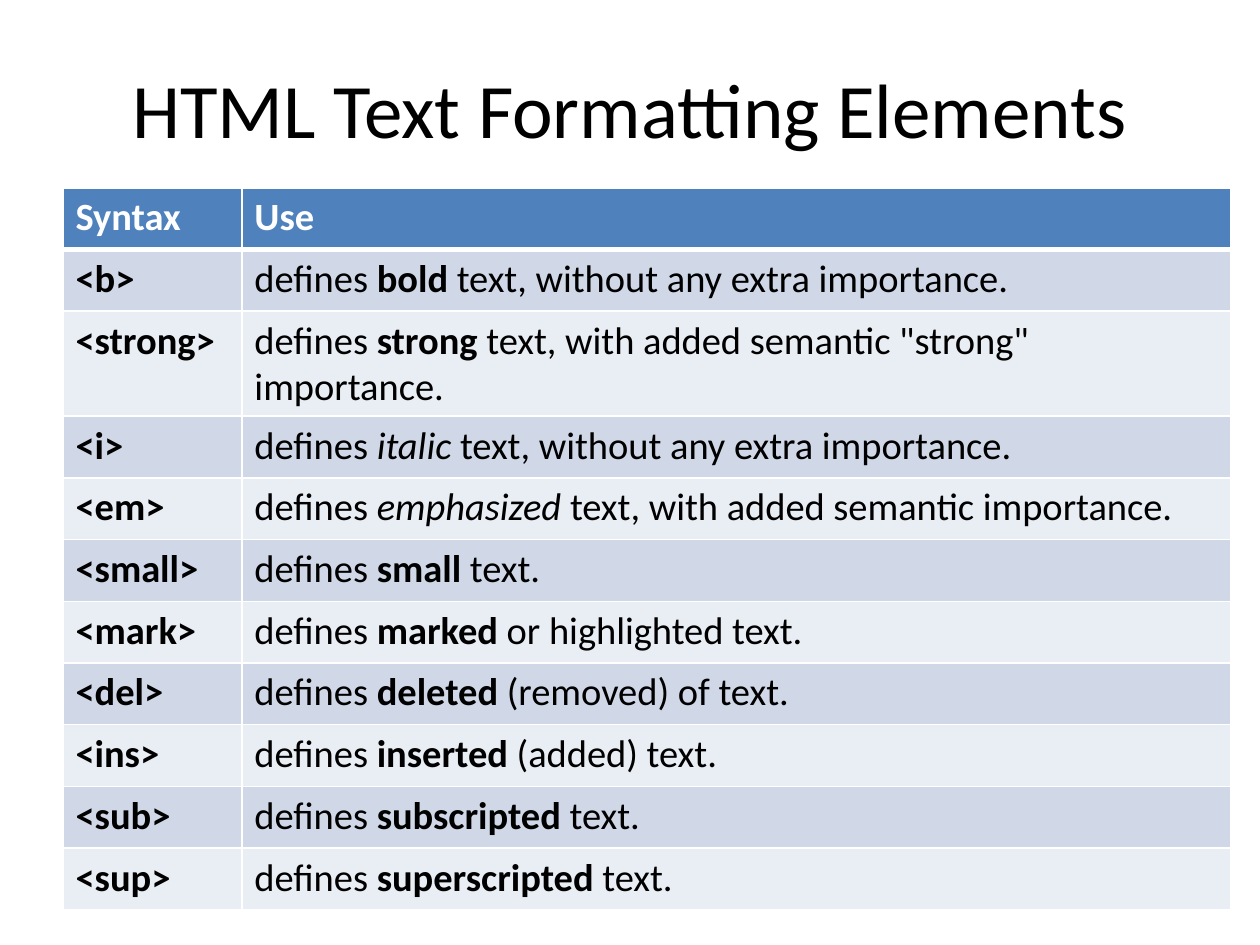
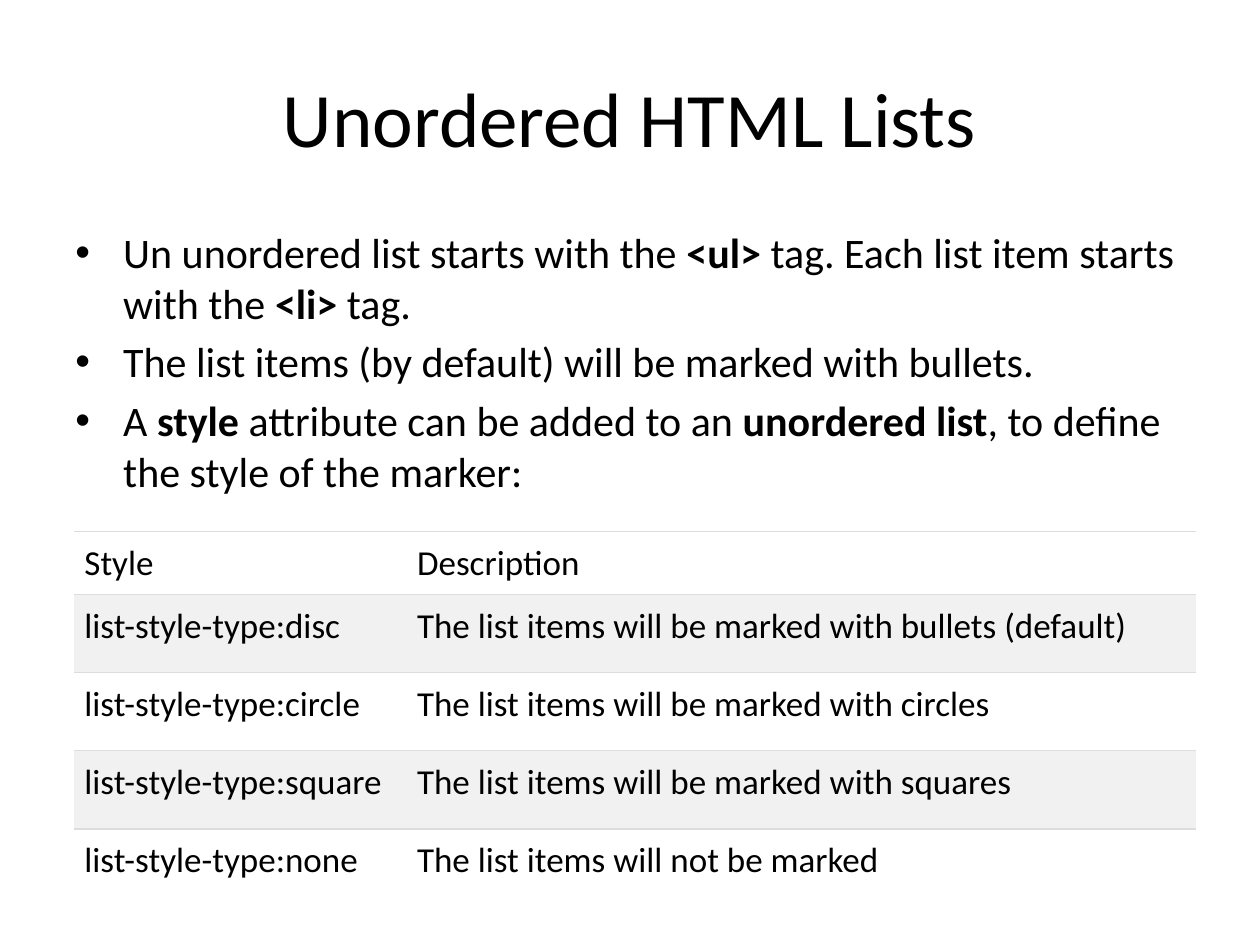
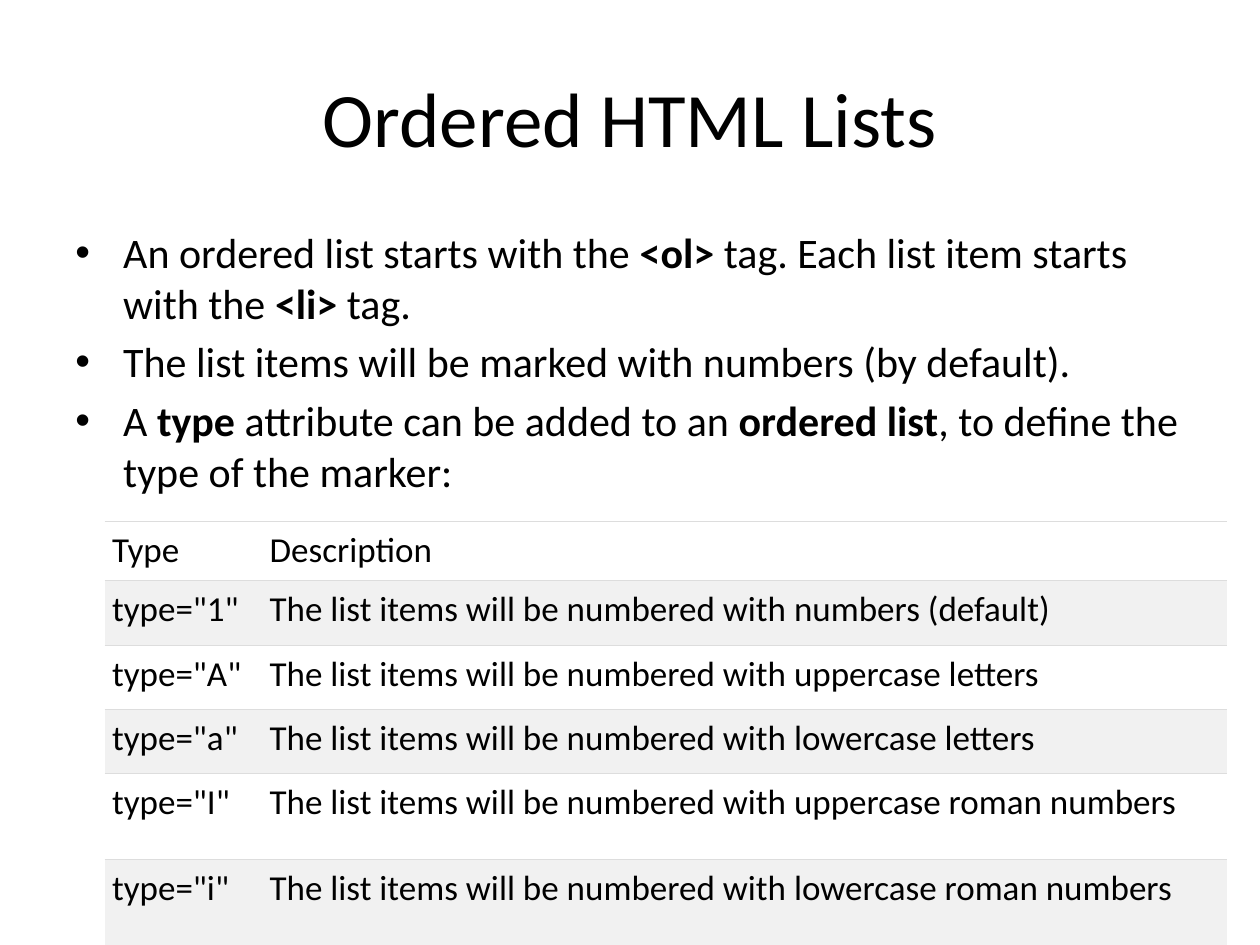
from dataclasses import dataclass

from lxml import etree
from pptx import Presentation
from pptx.dml.color import RGBColor
from pptx.enum.text import MSO_ANCHOR, PP_ALIGN
from pptx.oxml.ns import qn
from pptx.util import Inches, Pt

CENTER = PP_ALIGN.CENTER
TOP, MIDDLE = MSO_ANCHOR.TOP, MSO_ANCHOR.MIDDLE
FONT = "Calibri"
COLORS = {
    "white": "FFFFFF",
    "black": "000000",
    "head": "4F81BD",
    "dark": "D0D8E8",
    "light": "E9EDF4",
    "gray": "F1F1F1",
    "rule": "DDDDDD",
}


@dataclass(frozen=True)
class Look:
    """Table style; rules are the widths in points of each kind of line."""
    size: int
    head: str
    ink: str
    bands: tuple[str, str]
    line: str
    side: float
    inner: float
    under: float
    last: float
    bold: bool = False


@dataclass(frozen=True)
class Grid:
    left: float
    top: float
    cols: tuple[float, ...]
    heights: tuple[float, ...]
    pad: tuple[float, float]
    look: Look
    rows: tuple[tuple[str, str], ...]


@dataclass(frozen=True)
class Page:
    title: str
    top: float
    points: tuple[str, ...]
    grid: Grid


BLUE = Look(22, "head", "white", ("dark", "light"), "white",
            side=1, inner=1, under=3, last=1, bold=True)
PLAIN = Look(20, "white", "black", ("gray", "white"), "rule",
             side=0, inner=0.75, under=0.75, last=0)

# In all texts, *stars* mark bold and _underscores_ mark italic.
PAGES = (
    Page("HTML Text Formatting Elements", 0.23, (), Grid(
        0.5, 1.49, (1.42, 7.85), (0.49,) * 11, (0.1, 0.05), BLUE, (
            ("Syntax", "Use"),
            ("*<b>*", "defines *bold* text, without any extra importance."),
            ("*<strong>*", 'defines *strong* text, with added semantic "strong" importance.'),
            ("*<i>*", "defines _italic_ text, without any extra importance."),
            ("*<em>*", "defines _emphasized_ text, with added semantic importance."),
            ("*<small>*", "defines *small* text."),
            ("*<mark>*", "defines *marked* or highlighted text."),
            ("*<del>*", "defines *deleted* (removed) of text."),
            ("*<ins>*", "defines *inserted* (added) text."),
            ("*<sub>*", "defines *subscripted* text."),
            ("*<sup>*", "defines *superscripted* text."),
        ))),
    Page("Unordered HTML Lists", 0.3, (
        "Un unordered list starts with the *<ul>* tag. Each list item starts with the *<li>* tag.",
        "The list items (by default) will be marked with bullets.",
        "A *style* attribute can be added to an *unordered list*, to define the style of the marker:",
    ), Grid(
        0.59, 4.22, (2.64, 6.26), (0.5,) + (0.62,) * 4, (0.08, 0.08), PLAIN, (
            ("Style", "Description"),
            ("list-style-type:disc", "The list items will be marked with bullets (default)"),
            ("list-style-type:circle", "The list items will be marked with circles"),
            ("list-style-type:square", "The list items will be marked with squares"),
            ("list-style-type:none", "The list items will not be marked"),
        ))),
    Page("Ordered HTML Lists", 0.3, (
        "An ordered list starts with the *<ol>* tag. Each list item starts with the *<li>* tag.",
        "The list items will be marked with numbers (by default).",
        "A *type* attribute can be added to an *ordered list*, to define the type of the marker:",
    ), Grid(
        0.83, 4.14, (1.25, 7.66), (0.47,) + (0.51,) * 3 + (0.68,) * 2, (0.06, 0.06), PLAIN, (
            ("Type", "Description"),
            ('type="1"', "The list items will be numbered with numbers (default)"),
            ('type="A"', "The list items will be numbered with uppercase letters"),
            ('type="a"', "The list items will be numbered with lowercase letters"),
            ('type="I"', "The list items will be numbered with uppercase roman numbers"),
            ('type="i"', "The list items will be numbered with lowercase roman numbers"),
        ))),
)


def paint(color: str) -> RGBColor:
    return RGBColor.from_string(COLORS[color])


def assign(item, **form) -> None:
    for key, value in form.items():
        setattr(item, key, value)


def write(para, text: str, size: float, color: str = "black", bold: bool = False) -> None:
    """Add the text as runs, turning its marks into bold and italic."""
    for i, part in enumerate(text.split("*")):
        for j, bit in enumerate(part.split("_")):
            if bit:
                run = para.add_run()
                run.text = bit
                assign(run.font, name=FONT, size=Pt(size),
                       bold=bold or i % 2 == 1, italic=j % 2 == 1)
                run.font.color.rgb = paint(color)


def add_box(slide, top: float, height: float, anchor):
    box = slide.shapes.add_textbox(Inches(0.5), Inches(top), Inches(9), Inches(height))
    assign(box.text_frame, word_wrap=True, vertical_anchor=anchor)
    return box.text_frame


def add_title(slide, text: str, top: float) -> None:
    para = add_box(slide, top, 1.25, MIDDLE).paragraphs[0]
    para.alignment = CENTER
    write(para, text, 44)


def add_points(slide, points: tuple[str, ...]) -> None:
    frame = add_box(slide, 1.75, 4.95, TOP)
    for i, text in enumerate(points):
        para = frame.add_paragraph() if i else frame.paragraphs[0]
        if i:
            para.space_before = Pt(4.8)
        props = para._p.get_or_add_pPr()
        props.set("marL", str(Inches(0.38)))
        props.set("indent", str(Inches(-0.38)))
        etree.SubElement(props, qn("a:buFont"), typeface="Arial")
        etree.SubElement(props, qn("a:buChar"), char="•")
        write(para, text, 24)


def add_edge(cell, tag: str, width: float, color: str) -> None:
    props = cell._tc.get_or_add_tcPr()
    edge = etree.SubElement(props, qn(f"a:{tag}"), w=str(Pt(width)))
    if width:
        fill = etree.SubElement(edge, qn("a:solidFill"))
        etree.SubElement(fill, qn("a:srgbClr"), val=COLORS[color])
    else:
        etree.SubElement(edge, qn("a:noFill"))


def add_grid(slide, grid: Grid) -> None:
    look, count = grid.look, len(grid.rows)
    table = slide.shapes.add_table(
        count, len(grid.cols), Inches(grid.left), Inches(grid.top),
        Inches(sum(grid.cols)), Inches(sum(grid.heights))).table
    assign(table, first_row=False, horz_banding=False)
    for col, width in zip(table.columns, grid.cols):
        col.width = Inches(width)
    for row, height in zip(table.rows, grid.heights):
        row.height = Inches(height)

    wide, high = map(Inches, grid.pad)
    rules = [look.inner, look.under] + [look.inner] * (count - 2) + [look.last]
    for i, texts in enumerate(grid.rows):
        fill = look.bands[(i - 1) % 2] if i else look.head
        edges = {"lnL": look.side, "lnR": look.side, "lnT": rules[i], "lnB": rules[i + 1]}
        for j, text in enumerate(texts):
            cell = table.cell(i, j)
            assign(cell, margin_left=wide, margin_right=wide,
                   margin_top=high, margin_bottom=high)
            for tag, width in edges.items():
                add_edge(cell, tag, width, look.line)
            cell.fill.solid()
            cell.fill.fore_color.rgb = paint(fill)
            write(cell.text_frame.paragraphs[0], text, look.size,
                  "black" if i else look.ink, look.bold and i == 0)


def main() -> None:
    deck = Presentation()
    assign(deck, slide_width=Inches(10), slide_height=Inches(7.5))
    for page in PAGES:
        slide = deck.slides.add_slide(deck.slide_layouts[6])
        add_title(slide, page.title, page.top)
        if page.points:
            add_points(slide, page.points)
        add_grid(slide, page.grid)
    deck.save("out.pptx")


if __name__ == "__main__":
    main()
